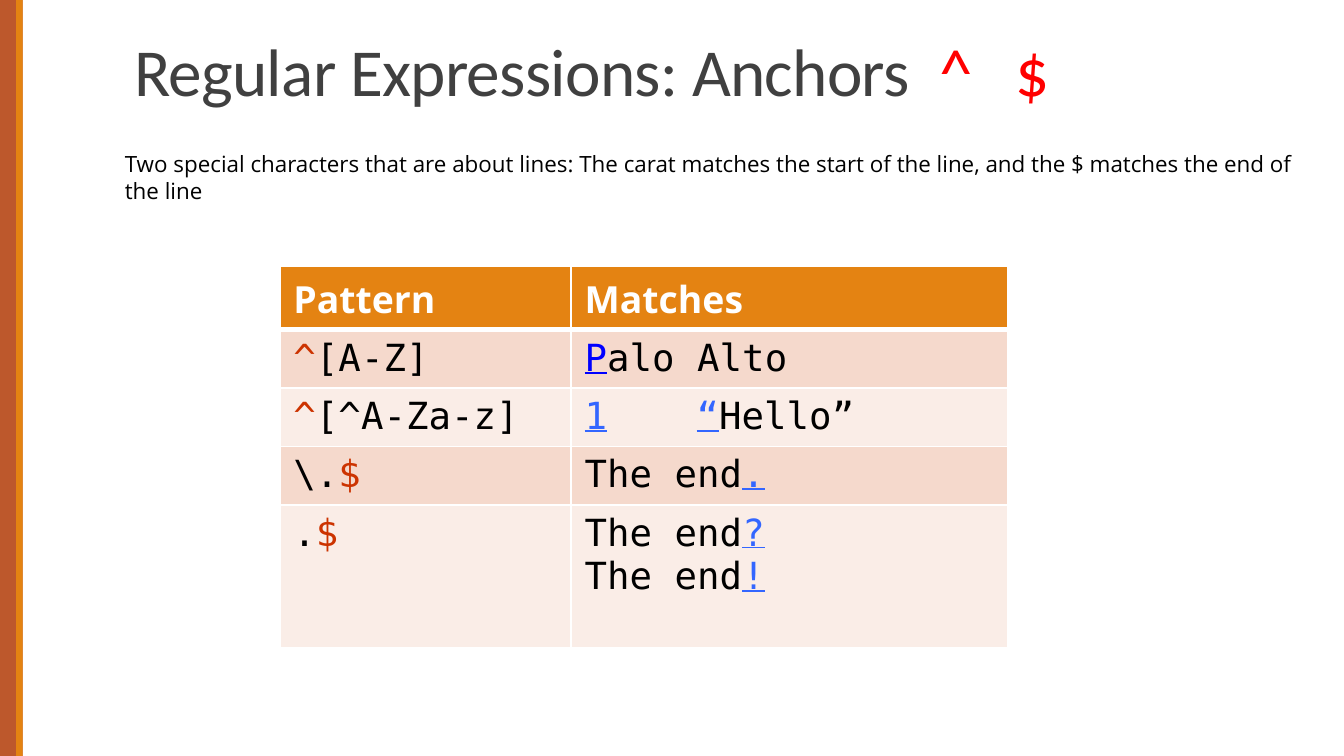
"""Build a slide on regular expression anchors."""
from lxml import etree
from pptx import Presentation
from pptx.dml.color import RGBColor
from pptx.enum import shapes, text
from pptx.oxml import ns
from pptx.util import Pt

BLACK, WHITE, RED, BLUE = "000000", "FFFFFF", "CC3300", "3366FF"
SANS, MONO = "Open Sans", "DejaVu Sans Mono"

BARS = [(0, 12.2, "BD582C"), (8.6, 3.6, "E48312")]
TITLE = [("Regular Expressions: Anchors", "404040"), ("\t^\t$", "FF0000")]
TITLE_TABS = [431.5, 472]
NOTE = [("Two special characters that are about lines: The carat matches the start "
         "of the line, and the $ matches the end of the line", BLACK)]

ROWS = [
    ([[("Pattern", WHITE)]], [[("Matches", WHITE)]]),
    ([[("^", RED), ("[A-Z]", BLACK)]],
     [[("P", "0000FF", True), ("alo Alto", BLACK)]]),
    ([[("^", RED), ("[^A-Za-z]", BLACK)]],
     [[("1", BLUE, True), ("\t", BLUE), ("“", BLUE, True), ("Hello”", BLACK)]]),
    ([[("\\.", BLACK), ("$", RED)]],
     [[("The end", BLACK), (".", BLUE, True)]]),
    ([[(".", BLACK), ("$", RED)]],
     [[("The end", BLACK), (mark, BLUE, True)] for mark in "?!"]),
]
ROW_FILLS = ["E48312", "F5D9CC", "FAEDE7", "F5D9CC", "FAEDE7"]
ROW_HEIGHTS = [33.9, 30.5, 30.5, 30.5, 76.6]
COLUMN_WIDTHS = [156, 234]


def color(value):
    return RGBColor.from_string(value)


def add_tabs(para, stops):
    tabs = etree.SubElement(para._p.get_or_add_pPr(), ns.qn("a:tabLst"))
    for stop in stops:
        etree.SubElement(tabs, ns.qn("a:tab"), pos=str(Pt(stop)), algn="l")


def add_runs(para, runs, size, font, bold=False):
    for words, tint, *underline in runs:
        span = para.add_run()
        span.text = words
        span.font.size = Pt(size)
        span.font.name = font
        span.font.bold = bold
        span.font.underline = bool(underline)
        span.font.color.rgb = color(tint)


def add_box(page, left, top, width, height):
    box = page.shapes.add_textbox(Pt(left), Pt(top), Pt(width), Pt(height))
    box.text_frame.word_wrap = True
    return box.text_frame


def add_borders(cell, bottom):
    props = cell._tc.get_or_add_tcPr()
    for index, (side, width) in enumerate([("L", 1), ("R", 1), ("T", 1), ("B", bottom)]):
        line = etree.Element(ns.qn("a:ln" + side), w=str(Pt(width)))
        fill = etree.SubElement(line, ns.qn("a:solidFill"))
        etree.SubElement(fill, ns.qn("a:srgbClr"), val=WHITE)
        props.insert(index, line)


def add_pattern_table(page):
    frame = page.shapes.add_table(len(ROWS), len(COLUMN_WIDTHS), Pt(150), Pt(142.8),
                                  Pt(sum(COLUMN_WIDTHS)), Pt(sum(ROW_HEIGHTS)))
    table = frame.table
    table.horz_banding = False
    for column, width in zip(table.columns, COLUMN_WIDTHS):
        column.width = Pt(width)
    for index, cells in enumerate(ROWS):
        header = index == 0
        table.rows[index].height = Pt(ROW_HEIGHTS[index])
        for cell, lines in zip(table.rows[index].cells, cells):
            cell.fill.solid()
            cell.fill.fore_color.rgb = color(ROW_FILLS[index])
            add_borders(cell, 3 if header else 1)
            for number, runs in enumerate(lines):
                para = cell.text_frame.add_paragraph() if number else cell.text_frame.paragraphs[0]
                if any(run[0] == "\t" for run in runs):
                    add_tabs(para, [60])
                add_runs(para, runs, 20, SANS if header else MONO, header)


def main():
    deck = Presentation()
    deck.slide_width, deck.slide_height = Pt(720), Pt(405)
    page = deck.slides.add_slide(deck.slide_layouts[6])

    for left, width, fill in BARS:
        bar = page.shapes.add_shape(shapes.MSO_SHAPE.RECTANGLE, Pt(left), 0,
                                    Pt(width), deck.slide_height)
        bar.shadow.inherit = False
        bar.fill.solid()
        bar.fill.fore_color.rgb = color(fill)
        bar.line.fill.background()

    title = add_box(page, 64.8, 9.4, 594, 53.3)
    title.vertical_anchor = text.MSO_ANCHOR.BOTTOM
    para = title.paragraphs[0]
    para.line_spacing = 0.85
    add_tabs(para, TITLE_TABS)
    add_runs(para, TITLE, 36, "Calibri")
    for span in para.runs:
        span.font._element.set("spc", "-40")

    add_pattern_table(page)
    note = add_box(page, 59.8, 77, 648, 36)
    add_runs(note.paragraphs[0], NOTE, 12, SANS)
    deck.save("out.pptx")


if __name__ == "__main__":
    main()
